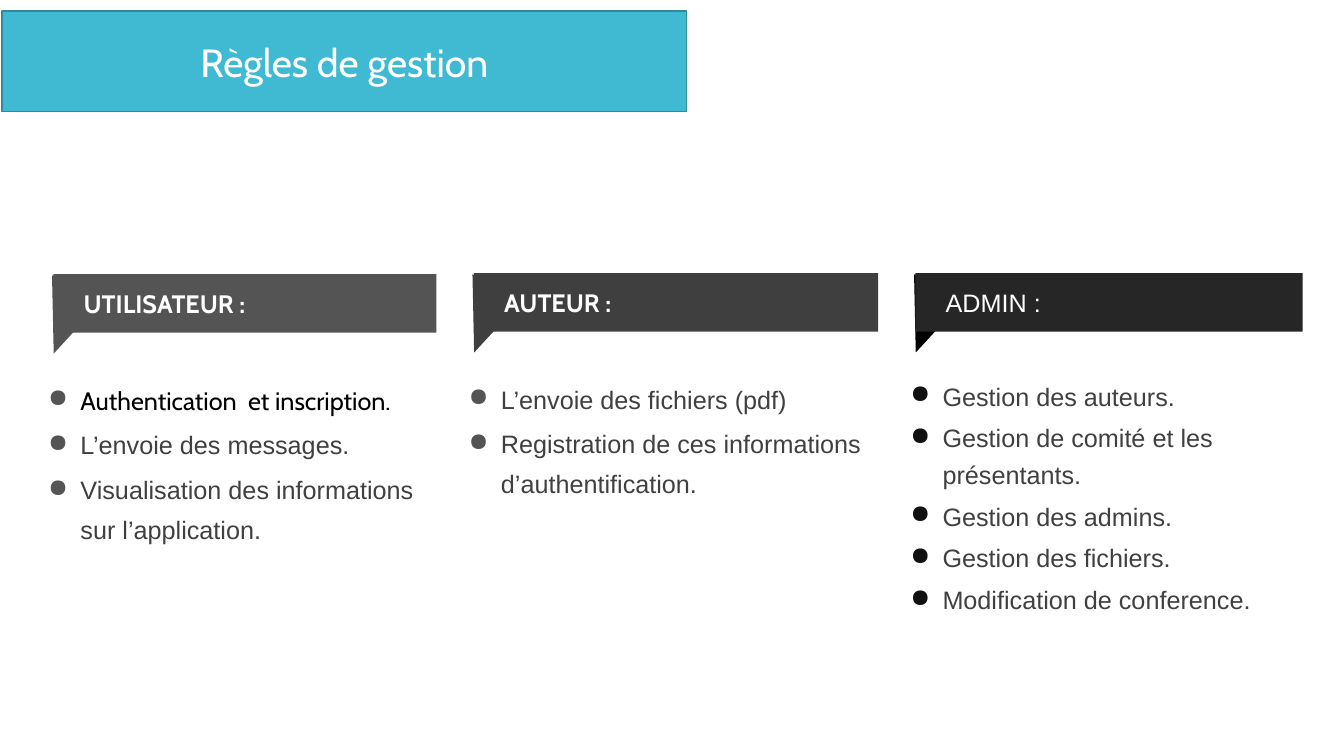
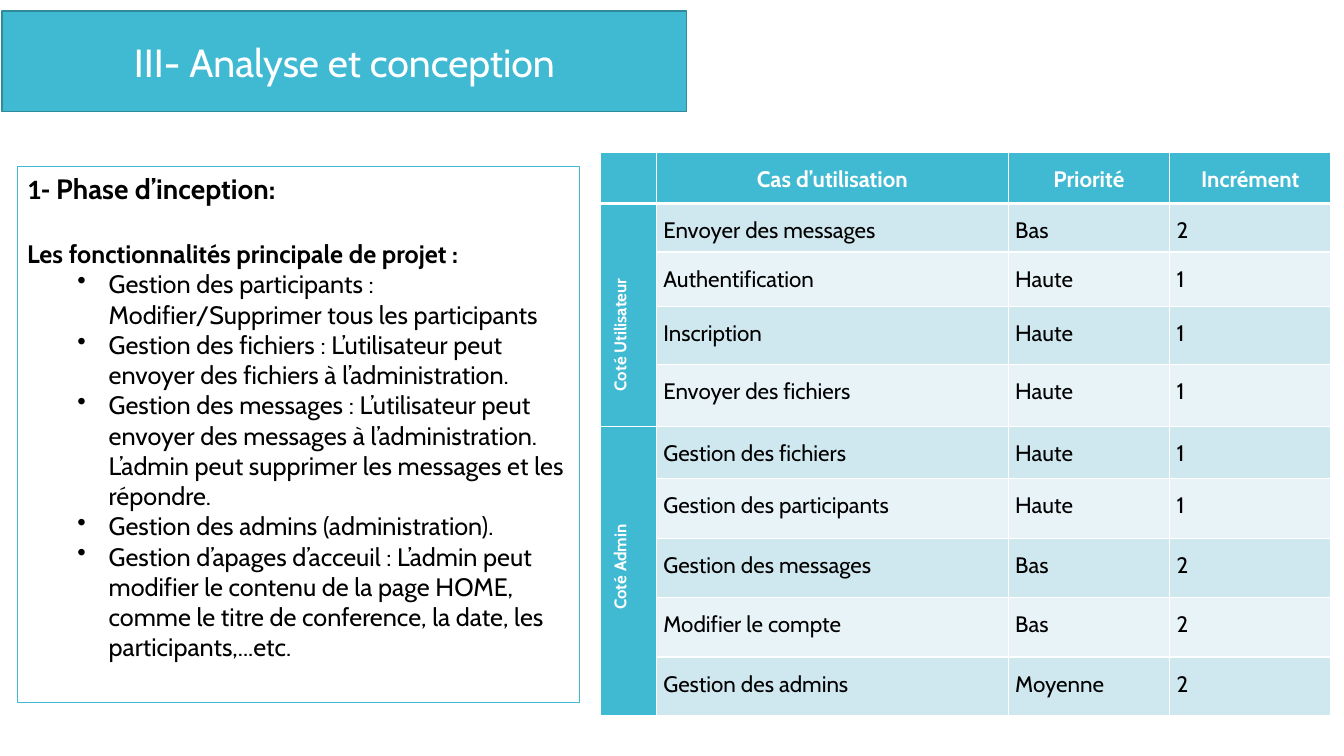
from lxml import etree
from pptx import Presentation
from pptx import util as u
from pptx.dml.color import RGBColor
from pptx.enum import shapes, text
from pptx.oxml.ns import qn

# Shared style
TEAL, TEAL_EDGE = "40BAD2", "2F8A9B"
WHITE, BLACK, GREY = "FFFFFF", "000000", "404040"
BANDS = ("CFE7EE", "E8F3F7")
CABIN, ARIAL, CALIBRI = "Cabin", "Arial", "Calibri"
LEFT, CENTER, JUSTIFY = (
    text.PP_ALIGN.LEFT, text.PP_ALIGN.CENTER, text.PP_ALIGN.JUSTIFY)
MIDDLE = text.MSO_ANCHOR.MIDDLE
RECT = shapes.MSO_SHAPE.RECTANGLE
TRIANGLE = shapes.MSO_SHAPE.ISOSCELES_TRIANGLE


def rgb(color):
    return RGBColor.from_string(color)


def grid(*cells):
    """Turn grid cells, ten to the inch, into lengths."""
    return [u.Inches(c / 10) for c in cells]


def paint(fill, color):
    fill.solid()
    fill.fore_color.rgb = rgb(color)


class Deck:
    """Holds the style and the current slide."""

    def __init__(self):
        self.prs = Presentation()
        self.prs.slide_width, self.prs.slide_height = grid(133.3, 75)

    def slide(self, title):
        self.s = self.prs.slides.add_slide(self.prs.slide_layouts[6])
        band = self.shape(self.s.shapes, RECT, (0.2, 1.1, 67.9, 10),
                          TEAL, TEAL_EDGE)
        self.frame(band, vertical_anchor=MIDDLE)
        self.para(band.text_frame, [(title, {})], size=28, color=WHITE,
                  alignment=CENTER)

    def shape(self, parent, kind, at, fill, line=None, rotation=0):
        sp = parent.add_shape(kind, *grid(*at))
        sp.shadow.inherit = False
        sp.rotation = rotation
        paint(sp.fill, fill)
        if line:
            sp.line.color.rgb = rgb(line)
            sp.line.width = u.Pt(0.85)
        else:
            sp.line.fill.background()
        return sp

    def frame(self, sp, **values):
        tf = sp.text_frame
        tf.word_wrap = True
        for name, value in values.items():
            setattr(tf, name, value)
        return tf

    def para(self, tf, runs, size=18, color=BLACK, font=CABIN, bold=False,
             bullet=None, bullet_color=None, indent=(0, 0), **values):
        """Fill the empty first paragraph, or add one."""
        p = tf.paragraphs[0]
        if p.runs:
            p = tf.add_paragraph()
        for name, value in {"alignment": LEFT, **values}.items():
            setattr(p, name, value)
        pPr = p._p.get_or_add_pPr()
        for name, value in zip(("marL", "indent"), grid(*indent)):
            pPr.set(name, str(value))
        if bullet_color:
            clr = etree.SubElement(pPr, qn("a:buClr"))
            etree.SubElement(clr, qn("a:srgbClr"), val=bullet_color)
        if bullet:
            etree.SubElement(pPr, qn("a:buChar"), char=bullet)
        for words, own in runs:
            r = p.add_run()
            r.text = words
            style = {"size": u.Pt(size), "name": font, "bold": bold,
                     "color": color, **own}
            r.font.color.rgb = rgb(style.pop("color"))
            for name, value in style.items():
                setattr(r.font, name, value)

    def role(self, left, top, width, fill, flag, heading, items, spacing,
             dot, **style):
        """A flagged heading above its bullet list."""
        parts = self.s.shapes.add_group_shape().shapes
        box = parts.add_textbox(
            *grid(left + 0.1, top + 8.7, width + 1.6, 26.7))
        tf = self.frame(box)
        for words, own in items:
            self.para(tf, [(words, own)], font=ARIAL, color=GREY, bullet="●",
                      bullet_color=dot, indent=(3.2, -3.2),
                      line_spacing=spacing, space_before=u.Pt(4))
        self.shape(parts, TRIANGLE, (left, top, 5.8, 7.2), flag,
                   rotation=200.7)
        bar = self.shape(parts, RECT, (left + 1.6, top - 0.9, width, 5.8),
                         fill)
        tf = self.frame(bar, vertical_anchor=MIDDLE,
                        margin_left=u.Inches(0.3))
        self.para(tf, [(heading, {})], color=WHITE, **style)

    def table(self, left, top, cols, rows):
        frame = self.s.shapes.add_table(
            len(rows), len(cols), *grid(left, top, sum(cols), sum(rows)))
        tbl = frame.table
        tbl.first_row = tbl.horz_banding = False
        for tracks, side, sizes in ((tbl.columns, "width", cols),
                                    (tbl.rows, "height", rows)):
            for track, size in zip(tracks, grid(*sizes)):
                setattr(track, side, size)
        return tbl

    def cell(self, c, fill, bottom=1):
        c.margin_left = c.margin_right = u.Inches(0.07)
        c.margin_top = c.margin_bottom = 0
        tcPr = c._tc.get_or_add_tcPr()
        for edge, width in zip("LRTB", (1, 1, 1, bottom)):
            ln = etree.SubElement(tcPr, qn("a:ln" + edge), w=str(u.Pt(width)))
            solid = etree.SubElement(ln, qn("a:solidFill"))
            etree.SubElement(solid, qn("a:srgbClr"), val=WHITE)
        paint(c.fill, fill)


def rules_slide(d):
    d.slide("Règles de gestion")
    d.role(3.7, 28.1, 38, "545454", "545454", "UTILISATEUR :", [
        ("Authentication  et inscription.", {"name": CABIN, "color": BLACK}),
        ("L’envoie des messages.", {}),
        ("Visualisation des informations sur l’application.", {}),
    ], 1.3, "545454", bold=True)
    d.role(45.4, 28, 40.1, "3F3F3F", "3F3F3F", "AUTEUR :", [
        ("L’envoie des fichiers (pdf)", {}),
        ("Registration de ces informations d’authentification.", {}),
    ], 1.3, "545454", bold=True)
    d.role(89.2, 28, 38.4, "262626", BLACK, "ADMIN :", [
        ("Gestion des auteurs.", {}),
        ("Gestion de comité et les présentants.", {}),
        ("Gestion des admins.", {}),
        ("Gestion des fichiers.", {}),
        ("Modification de conference.", {}),
    ], 1.2, "111111", font=ARIAL)


def analysis_slide(d):
    d.slide("III- Analyse et conception")

    # Inception phase
    box = d.shape(d.s.shapes, RECT, (1.7, 16.5, 55.8, 53.2), WHITE, TEAL)
    tf = d.frame(box, vertical_anchor=text.MSO_ANCHOR.TOP)
    d.para(tf, [("1- ", {"name": CALIBRI}), ("Phase d’inception:", {})],
           size=20, bold=True, space_after=u.Pt(24))
    d.para(tf, [("Les fonctionnalités principale de projet :", {})], bold=True)
    for words in (
        "Gestion des participants : Modifier/Supprimer tous les participants",
        "Gestion des fichiers : L’utilisateur peut envoyer des fichiers à "
        "l’administration.",
        "Gestion des messages : L’utilisateur peut envoyer des messages à "
        "l’administration. L’admin peut supprimer les messages et les "
        "répondre.",
        "Gestion des admins (administration).",
        "Gestion d’apages d’acceuil : L’admin peut modifier le contenu de la "
        "page HOME, comme le titre de conference, la date, les "
        "participants,...etc.",
    ):
        d.para(tf, [(words, {})], bullet="•", indent=(8.1, -3.1), level=1)

    # Use cases
    heads = ("", "Cas d’utilisation", "Priorité", "Incrément")
    cases = (
        ("Envoyer des messages", "Bas", "2"),
        ("Authentification", "Haute", "1"),
        ("Inscription", "Haute", "1"),
        ("Envoyer des fichiers", "Haute", "1"),
        ("Gestion des fichiers", "Haute", "1"),
        ("Gestion des participants", "Haute", "1"),
        ("Gestion des messages", "Bas", "2"),
        ("Modifier le compte", "Bas", "2"),
        ("Gestion des admins", "Moyenne", "2"),
    )
    tbl = d.table(59.5, 15.1, (5.6, 34.9, 16, 16),
                  (5.1, 4.8, 5.4, 5.8, 6.1, 5.2, 5.9, 5.9, 5.9, 5.8))
    for col, head in enumerate(heads):
        c = tbl.cell(0, col)
        d.cell(c, TEAL, bottom=3)
        if head:
            d.para(c.text_frame, [(head, {})], size=16, color=WHITE,
                   bold=True, alignment=CENTER, line_spacing=1.5,
                   space_before=u.Pt(6))
    for row, case in enumerate(cases, 1):
        d.cell(tbl.cell(row, 0), TEAL)
        for col, words in enumerate(case, 1):
            c = tbl.cell(row, col)
            d.cell(c, BANDS[(row - 1) % 2])
            d.para(c.text_frame, [(words, {})], size=16, alignment=JUSTIFY,
                   line_spacing=1.5)

    # Vertical side labels
    for first, last, words, align, indent in (
        (1, 4, "Coté Utilisateur", JUSTIFY, 2.8),
        (5, 9, "Coté Admin", CENTER, 0.8),
    ):
        c = tbl.cell(first, 0)
        c.merge(tbl.cell(last, 0))
        c._tc.get_or_add_tcPr().set("vert", "vert270")
        d.para(c.text_frame, [(words, {})], size=12, color=WHITE, bold=True,
               alignment=align, indent=(indent, 0), line_spacing=1.5)


def main():
    d = Deck()
    rules_slide(d)
    analysis_slide(d)
    d.prs.save("out.pptx")


if __name__ == "__main__":
    main()
